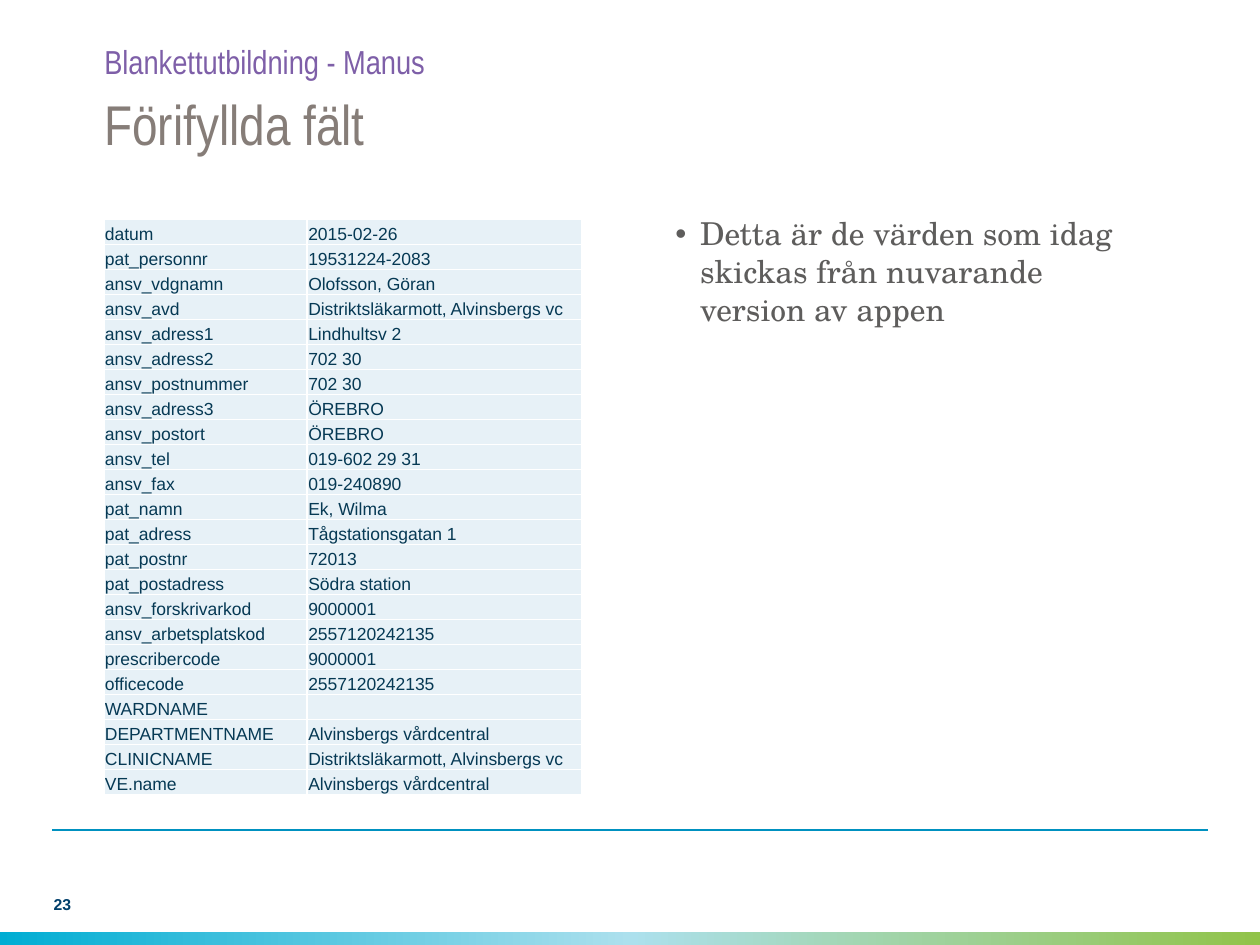
from copy import deepcopy
from dataclasses import dataclass

from lxml.etree import SubElement
from pptx import Presentation
from pptx.dml.color import RGBColor
from pptx.enum.shapes import MSO_CONNECTOR, MSO_SHAPE
from pptx.enum.text import MSO_ANCHOR, PP_ALIGN
from pptx.oxml.ns import qn
from pptx.util import Pt


@dataclass(frozen=True)
class Font:
    """Face, size and colour of a kind of text."""
    face: str
    size: float
    color: str
    bold: bool = False


@dataclass(frozen=True)
class Theme:
    """Colours and type sizes of the slide."""
    title: Font = Font("Arial Narrow", 32, "867D78")
    head: Font = Font("Arial Narrow", 19, "7E5FA8")
    body: Font = Font("TeX Gyre Schola", 18, "5E5D5C")
    cell: Font = Font("Arial", 10, "063954")
    page: Font = Font("Arial", 9, "003F6B", True)
    fill: str = "E7F1F7"
    grid: str = "FFFFFF"
    rule: str = "0091C0"
    band: tuple = ("00ADD3", "ACE0ED", "91C349")


THEME = Theme()
CLINIC = "Alvinsbergs vårdcentral"
UNIT = "Distriktsläkarmott, Alvinsbergs vc"
FIELDS = [
    ("datum", "2015-02-26"),
    ("pat_personnr", "19531224-2083"),
    ("ansv_vdgnamn", "Olofsson, Göran"),
    ("ansv_avd", UNIT),
    ("ansv_adress1", "Lindhultsv 2"),
    ("ansv_adress2", "702 30"),
    ("ansv_postnummer", "702 30"),
    ("ansv_adress3", "ÖREBRO"),
    ("ansv_postort", "ÖREBRO"),
    ("ansv_tel", "019-602 29 31"),
    ("ansv_fax", "019-240890"),
    ("pat_namn", "Ek, Wilma"),
    ("pat_adress", "Tågstationsgatan 1"),
    ("pat_postnr", "72013"),
    ("pat_postadress", "Södra station"),
    ("ansv_forskrivarkod", "9000001"),
    ("ansv_arbetsplatskod", "2557120242135"),
    ("prescribercode", "9000001"),
    ("officecode", "2557120242135"),
    ("WARDNAME", ""),
    ("DEPARTMENTNAME", CLINIC),
    ("CLINICNAME", UNIT),
    ("VE.name", CLINIC),
]


def rgb(code):
    """Turn a hex code into a colour."""
    return RGBColor.from_string(code)


def add_run(para, text, font):
    """Add one formatted run to a paragraph."""
    run = para.add_run()
    run.text = text
    run.font.name = font.face
    run.font.size = Pt(font.size)
    run.font.bold = font.bold
    run.font.color.rgb = rgb(font.color)


def set_text(shape, box, text, font, anchor):
    """Place a text shape and fill it with one left-aligned paragraph."""
    shape.left, shape.top, shape.width, shape.height = map(Pt, box)
    frame = shape.text_frame
    frame.word_wrap = True
    frame.vertical_anchor = anchor
    frame.margin_left = frame.margin_right = 0
    frame.margin_top = frame.margin_bottom = 0
    para = frame.paragraphs[0]
    para.alignment = PP_ALIGN.LEFT
    add_run(para, text, font)
    return para


def add_text(slide, box, text, font, anchor=MSO_ANCHOR.MIDDLE):
    """Add a text box and return its paragraph."""
    shape = slide.shapes.add_textbox(*map(Pt, box))
    return set_text(shape, box, text, font, anchor)


def set_bullet(para, indent, color):
    """Give a paragraph a hanging round bullet."""
    props = para._p.get_or_add_pPr()
    props.set("marL", str(Pt(indent)))
    props.set("indent", str(-Pt(indent)))
    tint = SubElement(props, qn("a:buClr"))
    SubElement(tint, qn("a:srgbClr"), val=color)
    SubElement(props, qn("a:buFont"), typeface="Arial")
    SubElement(props, qn("a:buChar"), char="•")


def add_rule(slide, left, right, top):
    """Draw the level line above the footer."""
    line = slide.shapes.add_connector(
        MSO_CONNECTOR.STRAIGHT, Pt(left), Pt(top), Pt(right), Pt(top))
    line.line.color.rgb = rgb(THEME.rule)
    line.line.width = Pt(1.42)
    SubElement(line._element.spPr, qn("a:effectLst"))


def add_band(slide, box):
    """Draw the footer band with evenly spaced gradient stops."""
    band = slide.shapes.add_shape(MSO_SHAPE.RECTANGLE, *map(Pt, box))
    band.shadow.inherit = False
    band.line.fill.background()
    band.fill.gradient()
    band.fill.gradient_angle = 0
    stops = band._element.spPr.find(".//" + qn("a:gsLst"))
    stops.append(deepcopy(stops[-1]))
    last = len(THEME.band) - 1
    for i, (stop, code) in enumerate(zip(band.fill.gradient_stops, THEME.band)):
        stop.color.rgb = rgb(code)
        stop.position = i / last


def set_grid(cell):
    """Draw thin borders on all sides of a cell."""
    props = cell._tc.get_or_add_tcPr()
    for i, side in enumerate(("lnL", "lnR", "lnT", "lnB")):
        edge = SubElement(props, qn("a:" + side), w=str(Pt(1)))
        props.insert(i, edge)
        fill = SubElement(edge, qn("a:solidFill"))
        SubElement(fill, qn("a:srgbClr"), val=THEME.grid)


def set_cell(cell, text):
    """Fill and format one table cell."""
    cell.margin_left = cell.margin_right = cell.margin_top = Pt(0.7)
    cell.margin_bottom = 0
    cell.vertical_anchor = MSO_ANCHOR.BOTTOM
    cell.fill.solid()
    cell.fill.fore_color.rgb = rgb(THEME.fill)
    set_grid(cell)
    para = cell.text_frame.paragraphs[0]
    if text:
        add_run(para, text, THEME.cell)
    else:
        SubElement(para._p, qn("a:endParaRPr"), sz=str(THEME.cell.size * 100))


def add_grid(slide, left, top, widths, high):
    """Add the table of field names and values."""
    shape = slide.shapes.add_table(
        len(FIELDS), len(widths), Pt(left), Pt(top),
        Pt(sum(widths)), Pt(high * len(FIELDS)))
    table = shape.table
    table.first_row = table.horz_banding = False
    for col, width in zip(table.columns, widths):
        col.width = Pt(width)
    for row, texts in zip(table.rows, FIELDS):
        row.height = Pt(high)
        for cell, text in zip(row.cells, texts):
            set_cell(cell, text)


def main():
    """Build and save the slide."""
    deck = Presentation()
    deck.slide_width, deck.slide_height = Pt(720), Pt(540)
    slide = deck.slides.add_slide(deck.slide_layouts[5])
    add_rule(slide, 29.8, 690.5, 474.3)
    add_band(slide, (0, 532.4, 720, 7.6))
    add_grid(slide, 59.3, 125.4, (116.2, 157.2), 14.3)
    body = add_text(
        slide, (385.9, 122.4, 273.6, 334.8),
        "Detta är de värden som idag skickas från nuvarande version av appen",
        THEME.body, MSO_ANCHOR.TOP)
    body.space_before = Pt(13)
    set_bullet(body, 14.2, THEME.body.color)
    add_text(slide, (30.7, 509.8, 167.8, 12.2), "23", THEME.page,
             MSO_ANCHOR.BOTTOM)
    set_text(slide.shapes.title, (59.6, 49, 600, 43.2), "Förifyllda fält",
             THEME.title, MSO_ANCHOR.MIDDLE)
    head = add_text(slide, (59.6, 20.9, 600, 28),
                    "Blankettutbildning - Manus", THEME.head)
    head.space_before = Pt(13)
    deck.save("out.pptx")


if __name__ == "__main__":
    main()
